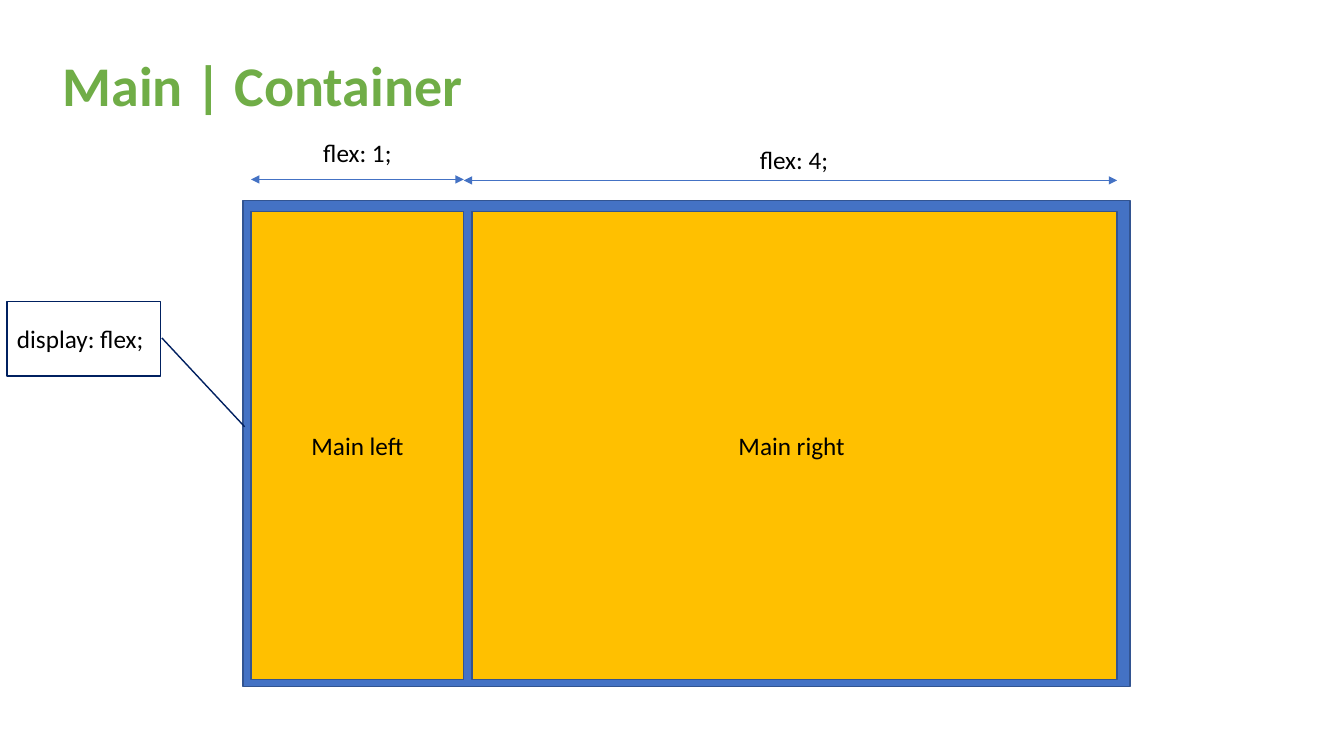
import pptx
import pptx.util
import pptx.dml.color
import pptx.enum.shapes
import pptx.enum.text
import pptx.oxml
import pptx.oxml.ns

COLORS = {
    "title": "70AD47",
    "container": "4472C4",
    "outline": "325491",
    "panel": "FFC000",
    "callout": "002060",
    "text": "000000",
}
SHAPE = pptx.enum.shapes.MSO_SHAPE
ALIGN = pptx.enum.text.PP_ALIGN
ANCHOR = pptx.enum.text.MSO_ANCHOR
CELL = 0.1


def rgb(name):
    return pptx.dml.color.RGBColor.from_string(COLORS[name])


def write(tf, text, size=18, color="text", bold=False, align=ALIGN.CENTER,
          anchor=ANCHOR.MIDDLE):
    tf.word_wrap = True
    tf.auto_size = pptx.enum.text.MSO_AUTO_SIZE.NONE
    tf.vertical_anchor = anchor
    p = tf.paragraphs[0]
    p.alignment = align
    r = p.add_run()
    r.text = text
    r.font.name = "Calibri"
    r.font.size = pptx.util.Pt(size)
    r.font.bold = bold
    r.font.color.rgb = rgb(color)


class SlideBuilder:
    def __init__(self, prs):
        self.s = prs.slides.add_slide(prs.slide_layouts[5])

    def grid(self, *cells):
        return [pptx.util.Inches(cell * CELL) for cell in cells]

    def title(self, text, col, row, cols, rows):
        sp = self.s.shapes.title
        sp.left, sp.top, sp.width, sp.height = self.grid(col, row, cols, rows)
        write(sp.text_frame, text, size=40, color="title", bold=True,
              align=ALIGN.LEFT, anchor=ANCHOR.TOP)

    def box(self, col, row, cols, rows, text="", fill=None, line="outline",
            kind=SHAPE.RECTANGLE, align=ALIGN.CENTER):
        sp = self.s.shapes.add_shape(kind, *self.grid(col, row, cols, rows))
        sp.shadow.inherit = False
        if fill:
            sp.fill.solid()
            sp.fill.fore_color.rgb = rgb(fill)
        else:
            sp.fill.background()
        sp.line.color.rgb = rgb(line)
        sp.line.width = pptx.util.Pt(1)
        if text:
            write(sp.text_frame, text, align=align)
        return sp

    def callout(self, text, col, row, cols, rows, pointer):
        sp = self.box(col, row, cols, rows, text, line="callout",
                      kind=SHAPE.LINE_CALLOUT_1, align=ALIGN.LEFT)
        for i, value in enumerate(pointer):
            sp.adjustments[i] = value

    def label(self, text, col, row, cols, rows):
        sp = self.s.shapes.add_textbox(*self.grid(col, row, cols, rows))
        write(sp.text_frame, text, anchor=ANCHOR.TOP)

    def span_arrow(self, start, end, row):
        cxn = self.s.shapes.add_connector(
            pptx.enum.shapes.MSO_CONNECTOR.STRAIGHT,
            *self.grid(start, row, end, row))
        cxn.line.color.rgb = rgb("container")
        cxn.line.width = pptx.util.Pt(0.5)
        ln = cxn.line._get_or_add_ln()
        for tag in ("a:headEnd", "a:tailEnd"):
            end_mark = pptx.oxml.parse_xml(
                f'<{tag} {pptx.oxml.ns.nsdecls("a")} type="triangle"/>')
            ln.append(end_mark)
        cxn._element.spPr.append(pptx.oxml.parse_xml(
            f'<a:effectLst {pptx.oxml.ns.nsdecls("a")}/>'))


def main():
    prs = pptx.Presentation()
    prs.slide_width = pptx.util.Inches(13.33)
    prs.slide_height = pptx.util.Inches(7.5)

    b = SlideBuilder(prs)
    b.title("Main | Container", 5.2, 4.5, 45.2, 7.7)
    b.box(24.1, 19.9, 88, 48.2, fill="container")

    panels = [
        ("Main left", 24.9, 21.1),
        ("Main right ", 46.8, 64),
    ]
    for text, col, cols in panels:
        b.box(col, 21, cols, 46.4, text, fill="panel")

    b.callout("display: flex;", 0.7, 29.9, 15.2, 7.4,
              pointer=(0.49, 1.01, 1.68, 1.55))

    spans = [
        ("flex: 1;", 27.8, 13.1, 24.9, 46, 17.8),
        ("flex: 4;", 71.1, 13.8, 46, 110.8, 17.9),
    ]
    for text, col, row, start, end, arrow_row in spans:
        b.label(text, col, row, 15.3, 4)
        b.span_arrow(start, end, arrow_row)

    prs.save("out.pptx")


if __name__ == "__main__":
    main()
